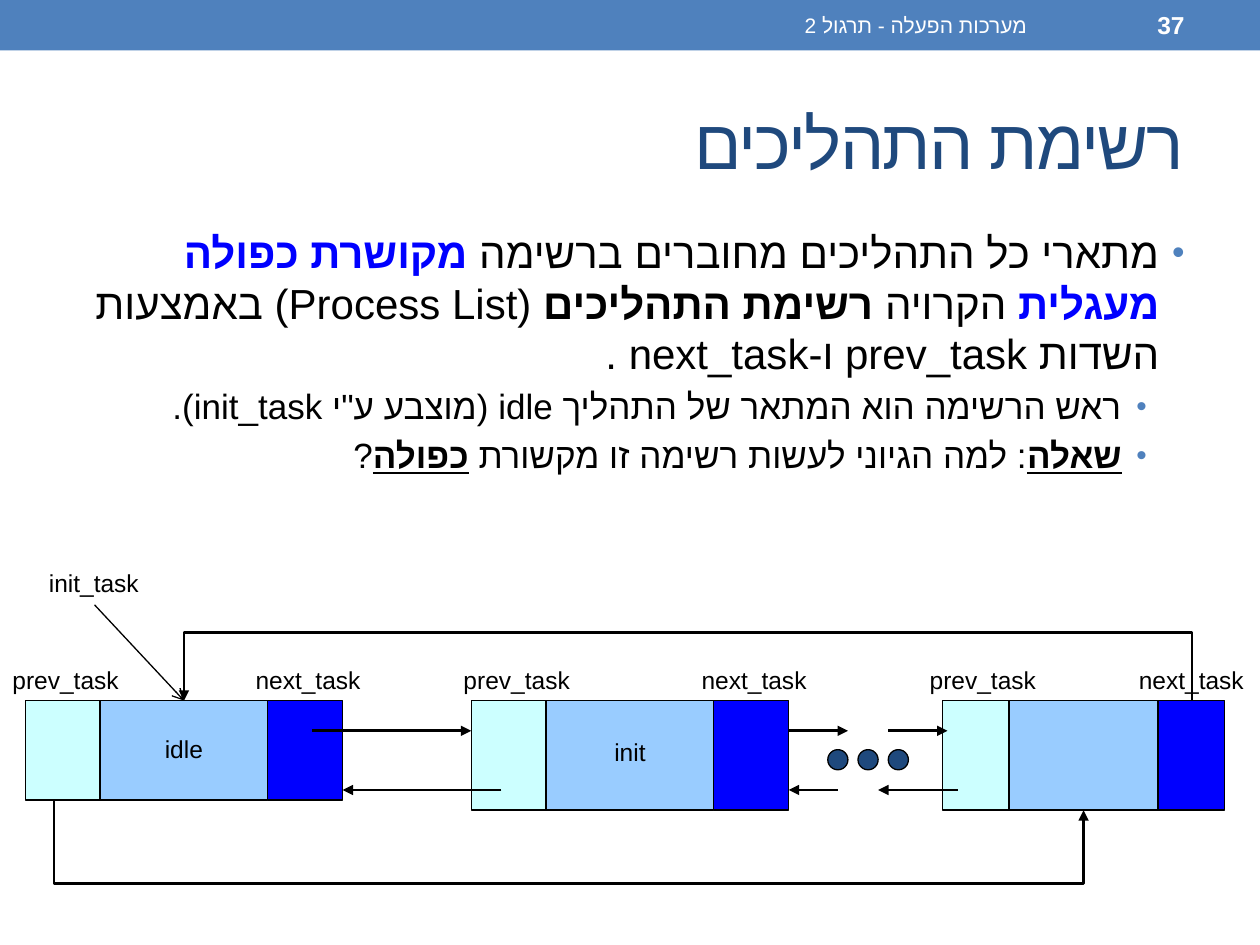
from dataclasses import dataclass

from lxml import etree
from pptx import Presentation
from pptx.dml.color import RGBColor
from pptx.enum.shapes import MSO_CONNECTOR, MSO_SHAPE
from pptx.enum.text import MSO_ANCHOR, PP_ALIGN
from pptx.oxml.ns import qn
from pptx.util import Inches, Pt

STRAIGHT, ELBOW = MSO_CONNECTOR.STRAIGHT, MSO_CONNECTOR.ELBOW
RECT, OVAL = MSO_SHAPE.RECTANGLE, MSO_SHAPE.OVAL
LEFT, CENTER, RIGHT = PP_ALIGN.LEFT, PP_ALIGN.CENTER, PP_ALIGN.RIGHT
TOP, MIDDLE = MSO_ANCHOR.TOP, MSO_ANCHOR.MIDDLE

FONT = "Arial"
COLORS = {
    "band": "4F81BD", "navy": "1F497D", "black": "000000", "white": "FFFFFF",
    "prev": "CCFFFF", "body": "99CCFF", "next": "0000FF",
}

# The slide is a grid of 100 columns by 75 rows
COLUMNS, ROWS = 100, 75
CELL = Inches(0.1)


@dataclass
class Run:
    text: str
    color: str = "black"
    bold: bool = False
    underline: bool = False


@dataclass
class Node:
    left: float
    width: float
    height: float
    prev_label: float
    next_label: float
    name: str = ""
    name_row: float = 0

    def edges(self) -> list[float]:
        """Columns where the prev, body and next fields start, and the end."""
        side = self.width * 0.236
        right = self.left + self.width
        return [self.left, self.left + side, right - side, right]


def grid(*lengths: float) -> list[int]:
    return [round(length * CELL) for length in lengths]


def rgb(name: str) -> RGBColor:
    return RGBColor.from_string(COLORS[name])


def add_bullet(paragraph, indent: float) -> None:
    props = paragraph._p.get_or_add_pPr()
    props.set("marL", str(Inches(indent)))
    props.set("indent", str(Inches(-0.2)))
    color = etree.SubElement(props, qn("a:buClr"))
    etree.SubElement(color, qn("a:srgbClr"), val=COLORS["band"])
    etree.SubElement(props, qn("a:buSzPct"), val="85000")
    etree.SubElement(props, qn("a:buFont"), typeface=FONT)
    etree.SubElement(props, qn("a:buChar"), char="•")


def write(paragraph, runs: list[Run], *, size: float, align=LEFT,
          rtl: bool = False, tracking: float = 0) -> None:
    paragraph.alignment = align
    if rtl:
        paragraph._p.get_or_add_pPr().set("rtl", "1")
    for part in runs:
        run = paragraph.add_run()
        run.text = part.text
        font = run.font
        font.name, font.size = FONT, Pt(size)
        font.bold, font.underline = part.bold, part.underline
        font.color.rgb = rgb(part.color)
        etree.SubElement(font._element, qn("a:cs"), typeface=FONT)
        if tracking:
            font._element.set("spc", str(round(tracking * 100)))


def add_text(slide, text: str, left: float, top: float, width: float,
             height: float, *, size: float = 14, color: str = "black",
             bold: bool = False, align=LEFT, anchor=TOP, rtl: bool = False):
    frame = slide.shapes.add_textbox(*grid(left, top, width, height)).text_frame
    frame.word_wrap = True
    frame.vertical_anchor = anchor
    if text:
        write(frame.paragraphs[0], [Run(text, color, bold)],
              size=size, align=align, rtl=rtl)
    return frame


def add_box(slide, kind, left: float, top: float, width: float, height: float,
            fill: str, outlined: bool = True) -> None:
    box = slide.shapes.add_shape(kind, *grid(left, top, width, height))
    box.shadow.inherit = False
    box.fill.solid()
    box.fill.fore_color.rgb = rgb(fill)
    if outlined:
        box.line.color.rgb = rgb("black")
        box.line.width = Pt(0.75)
    else:
        box.line.fill.background()


def add_arrow(slide, kind, start: tuple, end: tuple, *, weight: float = 1.5,
              head: str = "triangle"):
    arrow = slide.shapes.add_connector(kind, *grid(*start, *end))
    arrow.line.color.rgb = rgb("black")
    arrow.line.width = Pt(weight)
    etree.SubElement(arrow.line._get_or_add_ln(), qn("a:tailEnd"), type=head)
    etree.SubElement(arrow._element.spPr, qn("a:effectLst"))
    return arrow


def add_loop(slide, start: tuple, end: tuple, rail: float) -> None:
    """Elbow arrow that leaves vertically, runs along the rail row and returns."""
    (x1, y1), (x2, y2) = start, end
    rise, run = max(y2 - y1, 0.02), abs(x2 - x1)
    mid_x, mid_y = (x1 + x2) / 2, (y1 + y2) / 2
    # An elbow turned by 90 degrees; a flip sends it to the right
    half = run / 2 if x2 > x1 else -run / 2
    arrow = add_arrow(slide, ELBOW, (mid_x - rise / 2, mid_y + half),
                      (mid_x + rise / 2, mid_y - half))
    props = arrow._element.spPr
    props.find(qn("a:xfrm")).set("rot", str(90 * 60000))
    guides = props.find(qn("a:prstGeom")).get_or_add_avLst()
    bend = round((rail - y1) / rise * 100000)
    etree.SubElement(guides, qn("a:gd"), name="adj1", fmla=f"val {bend}")


NODE_TOP, LABEL_TOP = 55.6, 52.3
NODES = [
    Node(2, 25.2, 7.9, 0, 19.3, "idle", 57.8),
    Node(37.4, 25.2, 8.7, 35.8, 54.7, "init", 58),
    Node(74.8, 22.4, 8.7, 72.8, 89.4),
]
NEXT_ROW, PREV_ROW = 58, 62.7
LINKS = [
    (24.8, 37.4, NEXT_ROW), (39.8, 27.2, PREV_ROW),
    (62.6, 67.3, NEXT_ROW), (70.5, 75.2, NEXT_ROW),
    (76, 69.7, PREV_ROW), (66.5, 62.6, PREV_ROW),
]
# Level, size and runs of each bullet
BULLETS = [
    (0, 24, [
        Run("מתארי כל התהליכים מחוברים ברשימה "),
        Run("מקושרת כפולה מעגלית ", "next", bold=True),
        Run("הקרויה "),
        Run("רשימת התהליכים ", bold=True),
        Run("(Process List) באמצעות השדות prev_task ו-next_task ."),
    ]),
    (1, 20, [Run("ראש הרשימה הוא המתאר של התהליך idle (מוצבע ע\"י init_task).")]),
    (1, 20, [
        Run("שאלה", bold=True, underline=True),
        Run(": למה הגיוני לעשות רשימה זו מקשורת "),
        Run("כפולה", bold=True, underline=True),
        Run("?"),
    ]),
]


def main() -> None:
    prs = Presentation()
    prs.slide_width, prs.slide_height = COLUMNS * CELL, ROWS * CELL
    slide = prs.slides.add_slide(prs.slide_layouts[5])

    # Header band
    add_box(slide, RECT, 0, 0, COLUMNS, 4, "band", outlined=False)
    header = dict(color="white", align=RIGHT, anchor=MIDDLE, rtl=True)
    add_text(slide, "מערכות הפעלה - תרגול 2", 37.5, 0.2, 45, 3.6, size=12, **header)
    add_text(slide, "37", 83.3, 0.2, 11.7, 3.6, bold=True, **header)

    # Title
    title = slide.shapes.title
    title.left, title.top, title.width, title.height = grid(5, 5.8, 90, 10.8)
    title.text_frame.vertical_anchor = MIDDLE
    write(title.text_frame.paragraphs[0], [Run("רשימת התהליכים", "navy")],
          size=40, align=RIGHT, rtl=True, tracking=-1)

    # Bullets
    points = add_text(slide, "", 5, 17.5, 90, 53.3)
    for index, (level, size, runs) in enumerate(BULLETS):
        point = points.add_paragraph() if index else points.paragraphs[0]
        point.level = level
        point.space_before = Pt(size * 0.2)
        write(point, runs, size=size, align=RIGHT, rtl=True)
        add_bullet(point, 0.2 + 0.3 * level)

    # List nodes with their fields and labels
    for node in NODES:
        edges = node.edges()
        for field, left, right in zip(("prev", "body", "next"), edges, edges[1:]):
            add_box(slide, RECT, left, NODE_TOP, right - left, node.height, field)
        add_text(slide, "prev_task", node.prev_label, LABEL_TOP, 12.2, 3.3)
        add_text(slide, "next_task", node.next_label, LABEL_TOP, 11, 3.3)
        if node.name:
            add_text(slide, node.name, node.left + 6.3, node.name_row, 12.6, 3.4,
                     align=CENTER)

    # Links between neighbours, and the dots for the skipped nodes
    for start, end, row in LINKS:
        add_arrow(slide, STRAIGHT, (start, row), (end, row))
    for dot in range(3):
        add_box(slide, OVAL, 65.7 + 2.4 * dot, 59.5, 1.6, 1.6, "navy")

    # Links that close the circle
    add_loop(slide, (4.3, 63.5), (86, 64.3), rail=70.1)
    add_loop(slide, (94.6, NODE_TOP), (14.6, NODE_TOP), rail=50.1)

    # Pointer to the head of the list
    add_text(slide, "init_task", 2.7, 44.6, 9.5, 3.4, align=CENTER)
    add_arrow(slide, STRAIGHT, (7.5, 48), (14.6, NODE_TOP), weight=0.75, head="arrow")

    prs.save("out.pptx")


if __name__ == "__main__":
    main()
